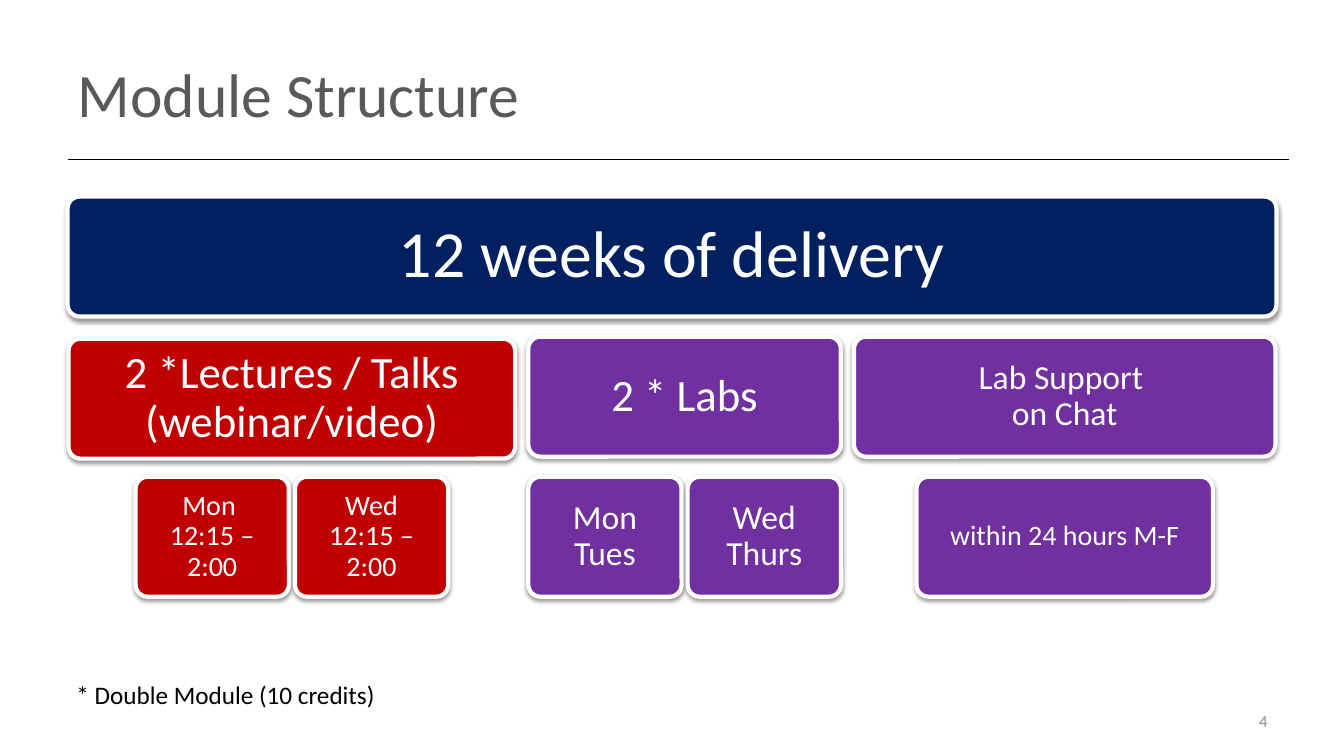
from dataclasses import dataclass

from lxml.etree import SubElement
from pptx import Presentation
from pptx.dml.color import RGBColor
from pptx.enum.shapes import MSO_CONNECTOR as Connector, MSO_SHAPE as Preset
from pptx.enum.text import MSO_ANCHOR as Anchor, MSO_AUTO_SIZE as AutoSize, PP_ALIGN as Align
from pptx.oxml.ns import qn
from pptx.shapes.autoshape import Shape
from pptx.slide import Slide
from pptx.text.text import TextFrame
from pptx.util import Inches, Pt


@dataclass(frozen=True)
class Theme:
    font: str = "Calibri"
    white: str = "FFFFFF"
    black: str = "000000"
    title_grey: str = "595959"
    number_grey: str = "8C8C8C"
    navy: str = "002060"
    red: str = "C00000"
    purple: str = "7030A0"
    title_size: int = 44
    banner_size: int = 47
    heading_size: int = 32
    medium_size: int = 24
    small_size: int = 20
    note_size: int = 18
    number_size: int = 12


@dataclass(frozen=True)
class Grid:
    left: float = 0.67
    top: float = 1.95
    width: float = 11.99
    card_height: float = 1.19
    row_pitch: float = 1.39
    column_gap: float = 0.13
    slot_gap: float = 0.06

    def row_top(self, row: int) -> float:
        return self.top + row * self.row_pitch


@dataclass(frozen=True)
class Box:
    left: float
    top: float
    width: float
    height: float


@dataclass(frozen=True)
class Label:
    text: str
    size: int
    inset: float


@dataclass(frozen=True)
class Activity:
    heading: Label
    color: str
    width: float
    slots: tuple[Label, ...]
    slot_width: float = 1.52
    drop: float = 0


THEME = Theme()
GRID = Grid()

BANNER = Label("12 weeks of delivery", THEME.banner_size, 0.2)
ACTIVITIES = (
    Activity(
        Label("2 *Lectures / Talks\v(webinar/video)", THEME.heading_size, 0.13),
        THEME.red,
        4.43,
        (
            Label("Mon \v12:15 – 2:00", THEME.small_size, 0.08),
            Label("Wed\v12:15 – 2:00", THEME.small_size, 0.08),
        ),
        drop=0.02,
    ),
    Activity(
        Label("2 * Labs", THEME.heading_size, 0.13),
        THEME.purple,
        3.1,
        (
            Label("Mon Tues", THEME.medium_size, 0.1),
            Label("Wed Thurs", THEME.medium_size, 0.1),
        ),
    ),
    Activity(
        Label("Lab Support \von Chat", THEME.medium_size, 0.1),
        THEME.purple,
        4.18,
        (Label("within 24 hours M-F", THEME.small_size, 0.08),),
        slot_width=2.94,
    ),
)


def rgb(color: str) -> RGBColor:
    return RGBColor.from_string(color)


def place(shape: Shape, box: Box) -> None:
    shape.left, shape.top = Inches(box.left), Inches(box.top)
    shape.width, shape.height = Inches(box.width), Inches(box.height)


def write(frame: TextFrame, text: str, size: int, color: str, align: Align = Align.LEFT) -> None:
    paragraph = frame.paragraphs[0]
    paragraph.text = text
    paragraph.alignment = align
    for run in paragraph.runs:
        run.font.name = THEME.font
        run.font.size = Pt(size)
        run.font.color.rgb = rgb(color)


def add_soft_shadow(shape: Shape) -> None:
    shape.shadow.inherit = False
    effects = shape.element.spPr.find(qn("a:effectLst"))
    shadow = SubElement(
        effects, qn("a:outerShdw"), blurRad=str(Pt(3.1)), dist=str(Pt(1.6)), dir="5400000", rotWithShape="0"
    )
    color = SubElement(shadow, qn("a:srgbClr"), val=THEME.black)
    SubElement(color, qn("a:alpha"), val="38000")


def add_card(slide: Slide, box: Box, label: Label, color: str) -> None:
    card = slide.shapes.add_shape(Preset.ROUNDED_RECTANGLE, 0, 0, 0, 0)
    place(card, box)
    card.adjustments[0] = 0.1
    card.fill.solid()
    card.fill.fore_color.rgb = rgb(color)
    card.line.color.rgb = rgb(THEME.white)
    card.line.width = Pt(3)
    add_soft_shadow(card)
    frame = card.text_frame
    frame.word_wrap = True
    frame.vertical_anchor = Anchor.MIDDLE
    frame.margin_left = frame.margin_right = Inches(label.inset)
    frame.margin_top = frame.margin_bottom = Inches(label.inset)
    write(frame, label.text, label.size, THEME.white, Align.CENTER)
    frame.paragraphs[0].line_spacing = 0.9


def add_activity(slide: Slide, activity: Activity, left: float) -> None:
    heading_box = Box(left, GRID.row_top(1) + activity.drop, activity.width, GRID.card_height)
    add_card(slide, heading_box, activity.heading, activity.color)
    pitch = activity.slot_width + GRID.slot_gap
    slots_width = len(activity.slots) * pitch - GRID.slot_gap
    slots_left = left + (activity.width - slots_width) / 2
    for index, slot in enumerate(activity.slots):
        slot_box = Box(slots_left + index * pitch, GRID.row_top(2), activity.slot_width, GRID.card_height)
        add_card(slide, slot_box, slot, activity.color)


def add_title(slide: Slide) -> None:
    title = slide.shapes.title
    place(title, Box(GRID.left, 0.3, 12, 1.25))
    frame = title.text_frame
    frame.auto_size = AutoSize.NONE
    frame.vertical_anchor = Anchor.MIDDLE
    write(frame, "Module Structure", THEME.title_size, THEME.title_grey)
    rule = slide.shapes.add_connector(
        Connector.STRAIGHT, Inches(GRID.left), Inches(1.58), Inches(12.78), Inches(1.58)
    )
    rule.line.color.rgb = rgb(THEME.black)
    rule.line.width = Pt(1)
    SubElement(rule.element.spPr, qn("a:effectLst"))


def add_footer(slide: Slide) -> None:
    note = slide.shapes.add_textbox(0, 0, 0, 0)
    place(note, Box(0.66, 6.69, 3.2, 0.4))
    note.text_frame.word_wrap = False
    note.text_frame.auto_size = AutoSize.SHAPE_TO_FIT_TEXT
    write(note.text_frame, "* Double Module (10 credits)", THEME.note_size, THEME.black)
    number = slide.shapes.add_textbox(0, 0, 0, 0)
    place(number, Box(9.56, 6.95, 3.11, 0.4))
    number.text_frame.word_wrap = True
    number.text_frame.vertical_anchor = Anchor.MIDDLE
    write(number.text_frame, "4", THEME.number_size, THEME.number_grey, Align.RIGHT)


def main() -> None:
    presentation = Presentation()
    presentation.slide_width, presentation.slide_height = Inches(13.33), Inches(7.5)
    slide = presentation.slides.add_slide(presentation.slide_layouts.get_by_name("Title Only"))
    add_title(slide)
    add_card(slide, Box(GRID.left, GRID.top, GRID.width, GRID.card_height), BANNER, THEME.navy)
    left = GRID.left + 0.01
    for activity in ACTIVITIES:
        add_activity(slide, activity, left)
        left += activity.width + GRID.column_gap
    add_footer(slide)
    presentation.save("out.pptx")


if __name__ == "__main__":
    main()
